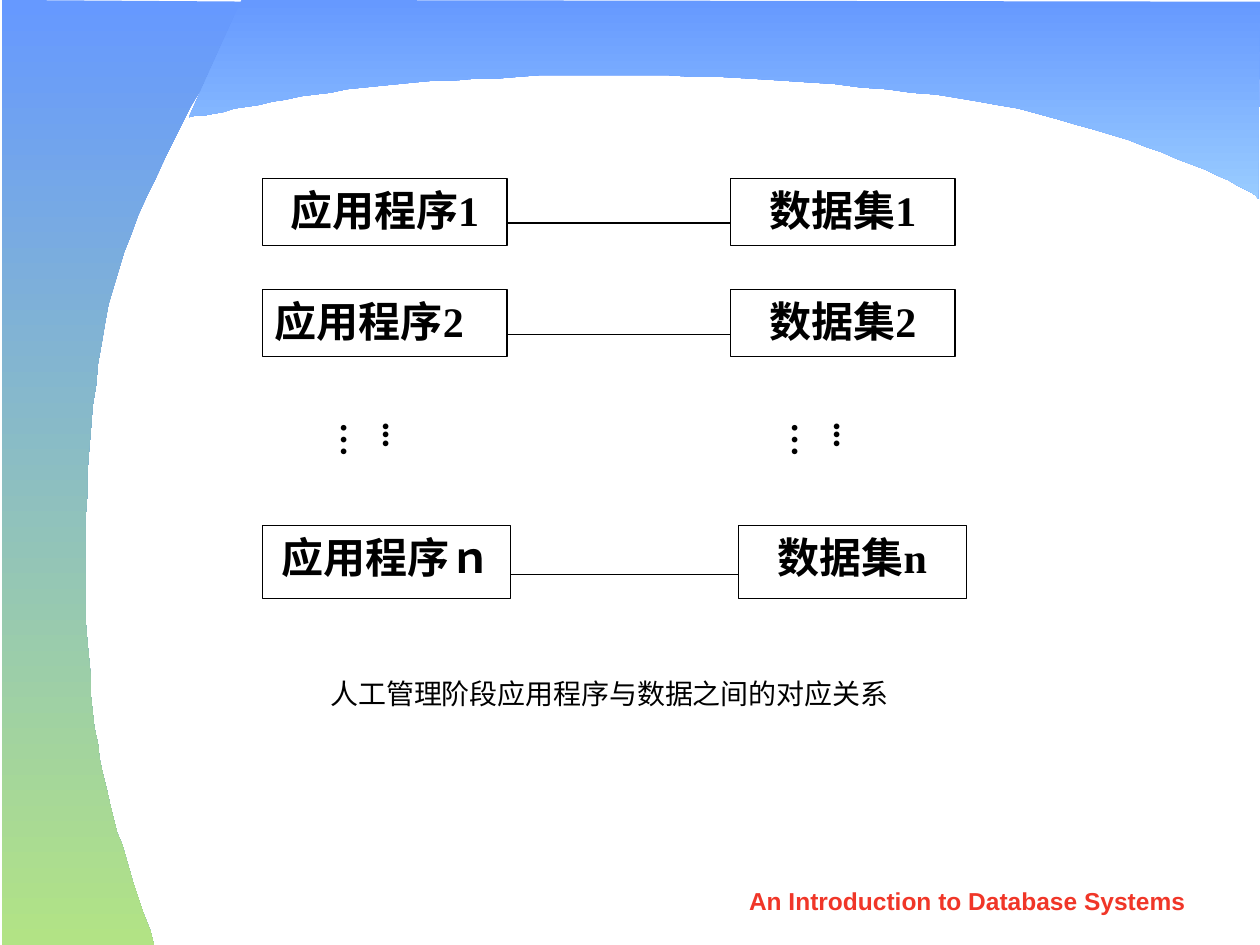
from dataclasses import dataclass
from itertools import chain

from lxml import etree
from pptx import Presentation
from pptx.dml.color import RGBColor
from pptx.enum import shapes, text
from pptx.oxml import ns
from pptx.util import Pt

LATIN = "Times New Roman"
CHINESE = "Noto Sans CJK SC"
BLACK = "000000"
CENTER = text.PP_ALIGN.CENTER
CURVE_STEPS = 20


@dataclass
class Box:
    left: float
    top: float
    width: float
    height: float


@dataclass
class Row:
    """One program linked to its own data set."""
    label: str
    data_label: str
    program: Box
    data: Box
    link_y: float
    align: text.PP_ALIGN = CENTER


@dataclass
class Band:
    """A curved edge: cubic segments from start, closed through the corners."""
    start: tuple
    curves: list
    corners: list
    colors: tuple


BANDS = [
    Band((87.8, 540),
         [((82, 516), (57, 460), (52.5, 397.5)),
          ((45.4, 334), (48.2, 232), (64.8, 164)),
          ((82, 100), (138, 7.2), (149.8, 0.7))],
         [(0.7, 0), (0.7, 540)], ("6699FF", "B2E385")),
    Band((108, 67),
         [((135.4, 63.4), (195.8, 46.8), (271.4, 45.4)),
          ((342.7, 38.9), (483, 45.4), (559.4, 57.6)),
          ((633, 70.6), (712, 105), (719.3, 113.8))],
         [(720, 1.4), (137.5, 0)], ("6699FF", "99CCFF")),
]

ROWS = [
    Row("应用程序1", "数据集1", Box(150, 102.2, 139.7, 38.2),
        Box(417.6, 102.2, 128.2, 38.2), 127.4),
    Row("应用程序2", "数据集2", Box(150, 165.6, 139.7, 38.2),
        Box(417.6, 165.6, 128.2, 38.2), 191.3, text.PP_ALIGN.JUSTIFY),
    Row("应用程序ｎ", "数据集n", Box(150, 300.2, 141.8, 41.8),
        Box(421.9, 300.2, 130.3, 41.8), 328.2),
]


def color(value: str) -> RGBColor:
    return RGBColor.from_string(value)


def place(box: Box) -> tuple:
    return Pt(box.left), Pt(box.top), Pt(box.width), Pt(box.height)


def curve_points(start: tuple, curve: tuple) -> list:
    points = []
    for step in range(1, CURVE_STEPS + 1):
        t = step / CURVE_STEPS
        weights = ((1 - t) ** 3, 3 * t * (1 - t) ** 2, 3 * t * t * (1 - t), t ** 3)
        points.append(tuple(
            sum(w * p[axis] for w, p in zip(weights, (start, *curve)))
            for axis in (0, 1)))
    return points


def draw_band(page, band: Band) -> None:
    starts = [band.start] + [curve[-1] for curve in band.curves[:-1]]
    points = list(chain.from_iterable(map(curve_points, starts, band.curves)))
    builder = page.shapes.build_freeform(*band.start, scale=Pt(1))
    builder.add_line_segments(points + band.corners, close=True)
    shape = builder.convert_to_shape()
    shape.shadow.inherit = False
    shape.line.fill.background()
    shape.fill.gradient()
    shape.fill.gradient_angle = 270
    for stop, value, position in zip(shape.fill.gradient_stops, band.colors, (0, 1)):
        stop.color.rgb = color(value)
        stop.position = position


def write(shape, words: str, size: float, font: str = LATIN, ink: str = BLACK,
          bold: bool = True, align=CENTER) -> None:
    frame = shape.text_frame
    frame.text = words
    frame.vertical_anchor = text.MSO_ANCHOR.TOP
    para = frame.paragraphs[0]
    para.alignment = align
    span = para.runs[0]
    span.font.size = Pt(size)
    span.font.bold = bold
    span.font.name = font
    span.font.color.rgb = color(ink)
    east_asian = etree.SubElement(span.font._element, ns.qn("a:ea"))
    east_asian.set("typeface", CHINESE)


def draw_box(page, box: Box, words: str, align) -> None:
    shape = page.shapes.add_shape(shapes.MSO_SHAPE.RECTANGLE, *place(box))
    shape.shadow.inherit = False
    shape.fill.solid()
    shape.fill.fore_color.rgb = color("FFFFFF")
    shape.line.color.rgb = color(BLACK)
    shape.line.width = Pt(0.75)
    shape.text_frame.word_wrap = True
    write(shape, words, 24, align=align)


def draw_row(page, row: Row) -> None:
    draw_box(page, row.program, row.label, row.align)
    draw_box(page, row.data, row.data_label, CENTER)
    link = page.shapes.add_connector(
        shapes.MSO_CONNECTOR.STRAIGHT,
        Pt(row.program.left + row.program.width), Pt(row.link_y),
        Pt(row.data.left), Pt(row.link_y))
    link.line.color.rgb = color(BLACK)
    link.line.width = Pt(0.75)
    etree.SubElement(link._element.spPr, ns.qn("a:effectLst"))


def draw_text(page, box: Box, words: str, size: float, wrap: bool = True, **style):
    shape = page.shapes.add_textbox(*place(box))
    shape.text_frame.word_wrap = wrap
    write(shape, words, size, **style)
    return shape


def draw_vertical_dots(page, left: float) -> None:
    shape = draw_text(page, Box(left, 234, 38.2, 48.2), "...…", 20,
                      align=text.PP_ALIGN.LEFT)
    frame = shape.text_frame
    frame.margin_left = frame.margin_right = Pt(3.6)
    frame.margin_top = frame.margin_bottom = Pt(7.2)
    frame.auto_size = text.MSO_AUTO_SIZE.SHAPE_TO_FIT_TEXT
    frame._txBody.bodyPr.set("vert", "eaVert")


def main() -> None:
    deck = Presentation()
    deck.slide_width, deck.slide_height = Pt(720), Pt(540)
    page = deck.slides.add_slide(deck.slide_layouts[6])
    for band in BANDS:
        draw_band(page, band)
    draw_text(page, Box(411, 502.6, 283.7, 25.2),
              "An Introduction to Database Systems", 14, font="Arial", ink="F03628")
    for row in ROWS:
        draw_row(page, row)
    for left in (204.5, 462.2):
        draw_vertical_dots(page, left)
    draw_text(page, Box(150, 383, 396.7, 28.8),
              "人工管理阶段应用程序与数据之间的对应关系", 16, wrap=False,
              font=CHINESE, bold=False)
    deck.save("out.pptx")


if __name__ == "__main__":
    main()
